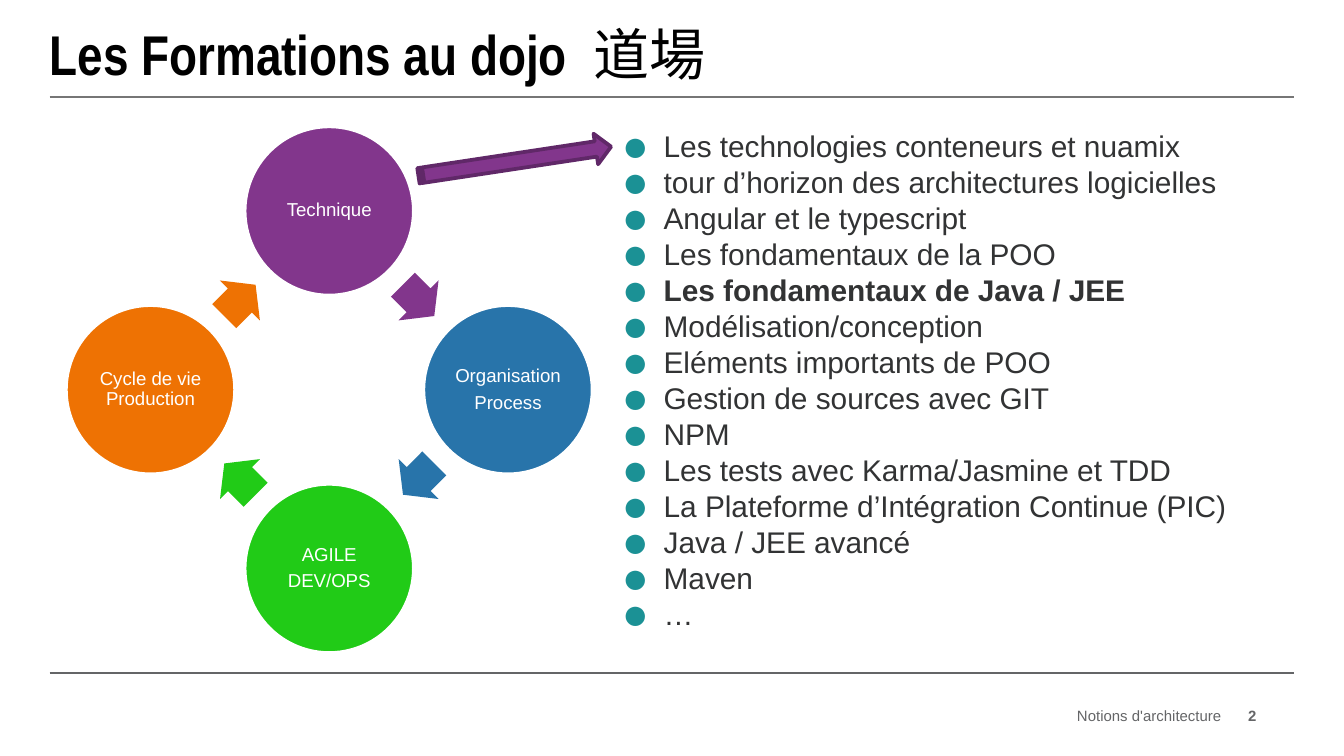
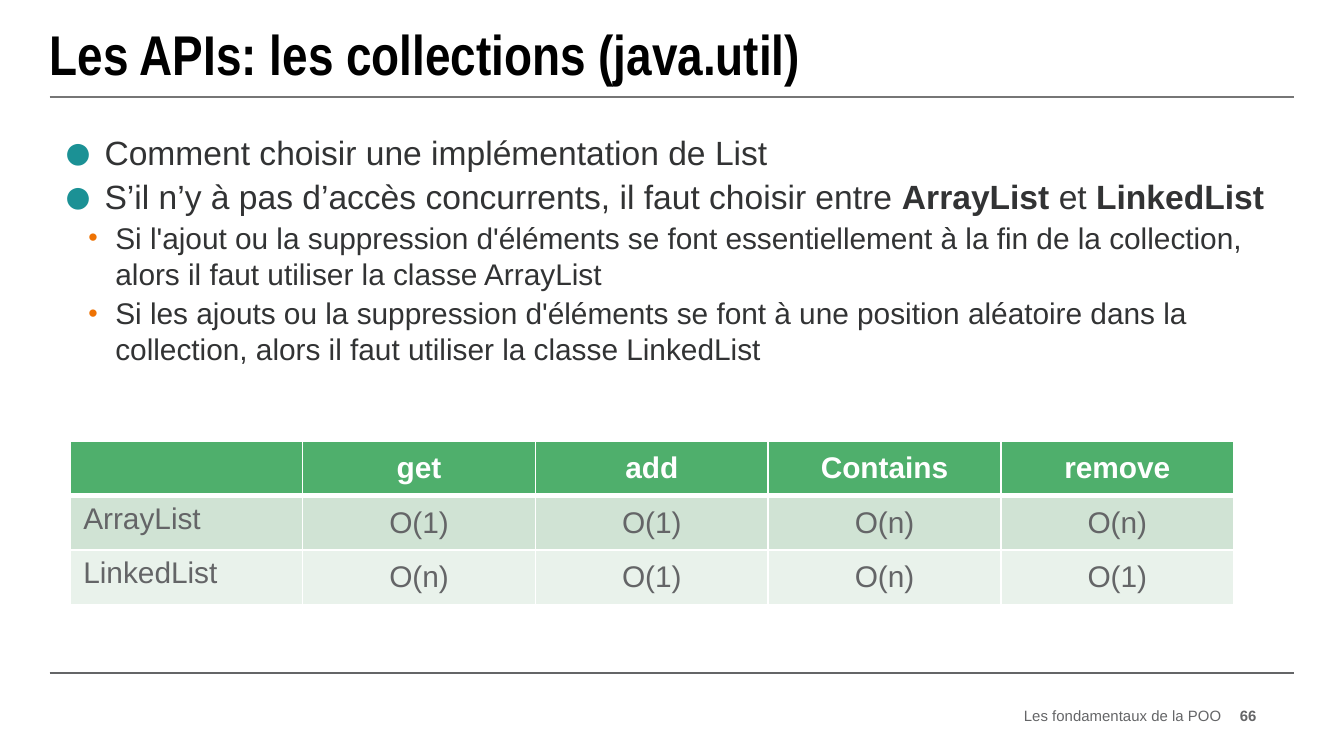
from math import cos, radians, sin

from lxml.etree import SubElement
from pptx import Presentation
from pptx.dml.color import RGBColor
from pptx.enum.shapes import MSO_CONNECTOR, MSO_SHAPE
from pptx.enum.text import MSO_ANCHOR, MSO_AUTO_SIZE, PP_ALIGN
from pptx.oxml.ns import qn
from pptx.util import Inches, Pt

# Content: ** switches bold on and off, \v breaks a line
TOPICS = {
    "title": "**Les Formations au dojo ** 道場",
    "footer": "Notions d'architecture",
    "page": 2,
    "items": [
        "Les technologies conteneurs et nuamix",
        "tour d’horizon des architectures logicielles",
        "Angular et le typescript",
        "Les fondamentaux de la POO",
        "**Les fondamentaux de Java / JEE**",
        "Modélisation/conception",
        "Eléments importants de POO",
        "Gestion de sources avec GIT",
        "NPM",
        "Les tests avec Karma/Jasmine et TDD",
        "La Plateforme d’Intégration Continue (PIC)",
        "Java / JEE avancé",
        "Maven",
        "…",
    ],
    # Clockwise from the top
    "cycle": [
        ("82368C", ["Technique"]),
        ("2874AA", ["Organisation", "Process"]),
        ("21CB17", ["AGILE", "DEV/OPS"]),
        ("EE7203", ["Cycle de vie\vProduction"]),
    ],
}
LISTS = {
    "title": "**Les APIs: les collections (java.util)**",
    "footer": "Les fondamentaux de la POO",
    "page": 66,
    "items": [
        (0, "Comment choisir une implémentation de List"),
        (0, "S’il n’y à pas d’accès concurrents, il faut choisir entre "
            "**ArrayList** et **LinkedList**"),
        (1, "Si l'ajout ou la suppression d'éléments se font essentiellement "
            "à la fin de la collection, alors il faut utiliser la classe ArrayList"),
        (1, "Si les ajouts ou la suppression d'éléments se font à une position "
            "aléatoire dans la collection, alors il faut utiliser la classe LinkedList"),
    ],
    "costs": [
        ["", "get", "add", "Contains", "remove"],
        ["ArrayList", "O(1)", "O(1)", "O(n)", "O(n)"],
        ["LinkedList", "O(n)", "O(1)", "O(n)", "O(1)"],
    ],
}

# Shared style
WHITE, BLACK, GREY, DARK, RULE = "FFFFFF", "000000", "646567", "323334", "767676"
LEFT, WIDTH = 0.37, 9.26
BODY_TOP, BODY_H = 0.93, 3.92
# Level: mark, colour, size in %, left indent, hanging indent
BULLETS = [("●", "1B9195", 150, 0.31, 0.31), ("•", "EE7203", 90, 0.39, 0.2)]
ROWS = ["4FAF6C", "D0E3D4", "E9F2EB"]


def rgb(code):
    return RGBColor.from_string(code)


def box(*sizes):
    return [Inches(size) for size in sizes]


def write(par, text, size, color, font="Arial", align=PP_ALIGN.LEFT):
    par.font.size, par.font.name = Pt(size), font
    par.font.color.rgb = rgb(color)
    par.alignment = align
    if "**" not in text:
        par.text = text
        return
    for i, part in enumerate(text.split("**")):
        if part:
            run = par.add_run()
            run.text, run.font.bold = part, i % 2 == 1


def frame(shape, inset=0, anchor=MSO_ANCHOR.MIDDLE):
    text = shape.text_frame
    text.word_wrap, text.auto_size = True, MSO_AUTO_SIZE.NONE
    text.vertical_anchor = anchor
    text.margin_left = text.margin_right = Inches(inset)
    text.margin_top = text.margin_bottom = Inches(inset)
    return text


def pars(text, lines):
    for i, line in enumerate(lines):
        yield (text.add_paragraph() if i else text.paragraphs[0]), line


def bullet(par, level):
    mark, color, scale, left, hang = BULLETS[level]
    par.level = level
    props = par._p.get_or_add_pPr()
    props.set("marL", str(Inches(left)))
    props.set("indent", str(-Inches(hang)))
    # Bullet marks come before the default run style
    rest = props.find(qn("a:defRPr"))
    tint = SubElement(props, qn("a:buClr"))
    SubElement(tint, qn("a:srgbClr"), val=color)
    SubElement(props, qn("a:buSzPct"), val=str(scale * 1000))
    SubElement(props, qn("a:buFont"), typeface="Arial")
    SubElement(props, qn("a:buChar"), char=mark)
    props.append(rest)


def rule(slide, y, color):
    line = slide.shapes.add_connector(
        MSO_CONNECTOR.STRAIGHT, *box(LEFT, y, LEFT + WIDTH, y))
    line.line.color.rgb, line.line.width = rgb(color), Pt(1)
    SubElement(line._element.spPr, qn("a:effectLst"))


def label(slide, left, width, text):
    shape = slide.shapes.add_textbox(*box(left, 5.25, width, 0.15))
    write(frame(shape).paragraphs[0], text, 8, GREY, align=PP_ALIGN.RIGHT)


def page(deck, data):
    """Add a slide with its title, rules and footer."""
    slide = deck.slides.add_slide(deck.slide_layouts[5])
    rule(slide, 5.01, GREY)
    rule(slide, 0.72, RULE)
    title = slide.shapes.title
    title.left, title.top, title.width, title.height = box(LEFT, 0.09, WIDTH, 0.61)
    write(frame(title).paragraphs[0], data["title"], 30, BLACK, "Arial Narrow")
    label(slide, 6.89, 2.2, data["footer"])
    label(slide, 9.15, 0.2, f"**{data['page']}**")
    return slide


def body(slide, left, width, items, sizes, space):
    shape = slide.shapes.add_textbox(*box(left, BODY_TOP, width, BODY_H))
    text = frame(shape, 0.05, MSO_ANCHOR.TOP)
    text.margin_left = text.margin_right = Inches(0.1)
    for par, (level, line) in pars(text, items):
        write(par, line, sizes[level], DARK)
        par.space_before, par.line_spacing = Pt(2), space
        bullet(par, level)


def solid(slide, kind, mid, size, fill, turn=0, edge=None):
    (x, y), (w, h) = mid, size
    shape = slide.shapes.add_shape(kind, *box(x - w / 2, y - h / 2, w, h))
    shape.shadow.inherit = False
    shape.fill.solid()
    shape.fill.fore_color.rgb = rgb(fill)
    shape.rotation = turn
    if edge:
        shape.line.color.rgb, shape.line.width = rgb(edge), Pt(2)
    else:
        shape.line.fill.background()
    return shape


def cycle(slide, steps):
    def spot(angle, reach):
        turn = radians(angle)
        return 2.45 + reach * sin(turn), 2.9 - reach * cos(turn)

    for i, (color, lines) in enumerate(steps):
        angle = 360 / len(steps) * i
        disc = solid(slide, MSO_SHAPE.OVAL, spot(angle, 1.33), (1.26, 1.26),
                     color, edge=WHITE)
        for par, line in pars(frame(disc, 0.01), lines):
            write(par, line, 10, WHITE, align=PP_ALIGN.CENTER)
            par.line_spacing, par.space_after = 0.9, Pt(3.5)
        # Arrow to the next disc
        arrow = solid(slide, MSO_SHAPE.RIGHT_ARROW, spot(angle + 45, 0.94),
                      (0.33, 0.42), color, angle + 45)
        arrow.adjustments[0], arrow.adjustments[1] = 0.6, 0.5


def border(cell, row):
    props = cell._tc.get_or_add_tcPr()
    thick = {0: "lnB", 1: "lnT"}.get(row)
    for side in ("lnL", "lnR", "lnT", "lnB"):
        width = Pt(3 if side == thick else 1)
        line = SubElement(props, qn(f"a:{side}"), w=str(width))
        fill = SubElement(line, qn("a:solidFill"))
        SubElement(fill, qn("a:srgbClr"), val=WHITE)


def grid(slide, rows):
    table = slide.shapes.add_table(
        len(rows), len(rows[0]), *box(0.52, 3.28, 8.66, 1.22)).table
    for r, row in enumerate(rows):
        for c, value in enumerate(row):
            cell = table.cell(r, c)
            border(cell, r)
            cell.fill.solid()
            cell.fill.fore_color.rgb = rgb(ROWS[r])
            side = r > 0 and c == 0
            cell.vertical_anchor = MSO_ANCHOR.TOP if side else MSO_ANCHOR.MIDDLE
            write(cell.text_frame.paragraphs[0],
                  f"**{value}**" if value and r == 0 else value, 16,
                  GREY if r else WHITE,
                  align=PP_ALIGN.LEFT if side else PP_ALIGN.CENTER)


def main():
    deck = Presentation()
    # Widescreen, 16:9
    deck.slide_width = Inches(10)
    deck.slide_height = Inches(10 * 9 / 16)

    # Training topics
    slide = page(deck, TOPICS)
    cycle(slide, TOPICS["cycle"])
    body(slide, 4.53, 5.1, [(0, item) for item in TOPICS["items"]], [16], 0.9)
    solid(slide, MSO_SHAPE.STRIPED_RIGHT_ARROW, (3.83, 1.2), (1.45, 0.23),
          "82368C", 351.4, "602868")

    # Choosing a list
    slide = page(deck, LISTS)
    body(slide, LEFT, WIDTH, LISTS["items"], [18, 16], 1.0)
    grid(slide, LISTS["costs"])

    deck.save("out.pptx")


if __name__ == "__main__":
    main()
